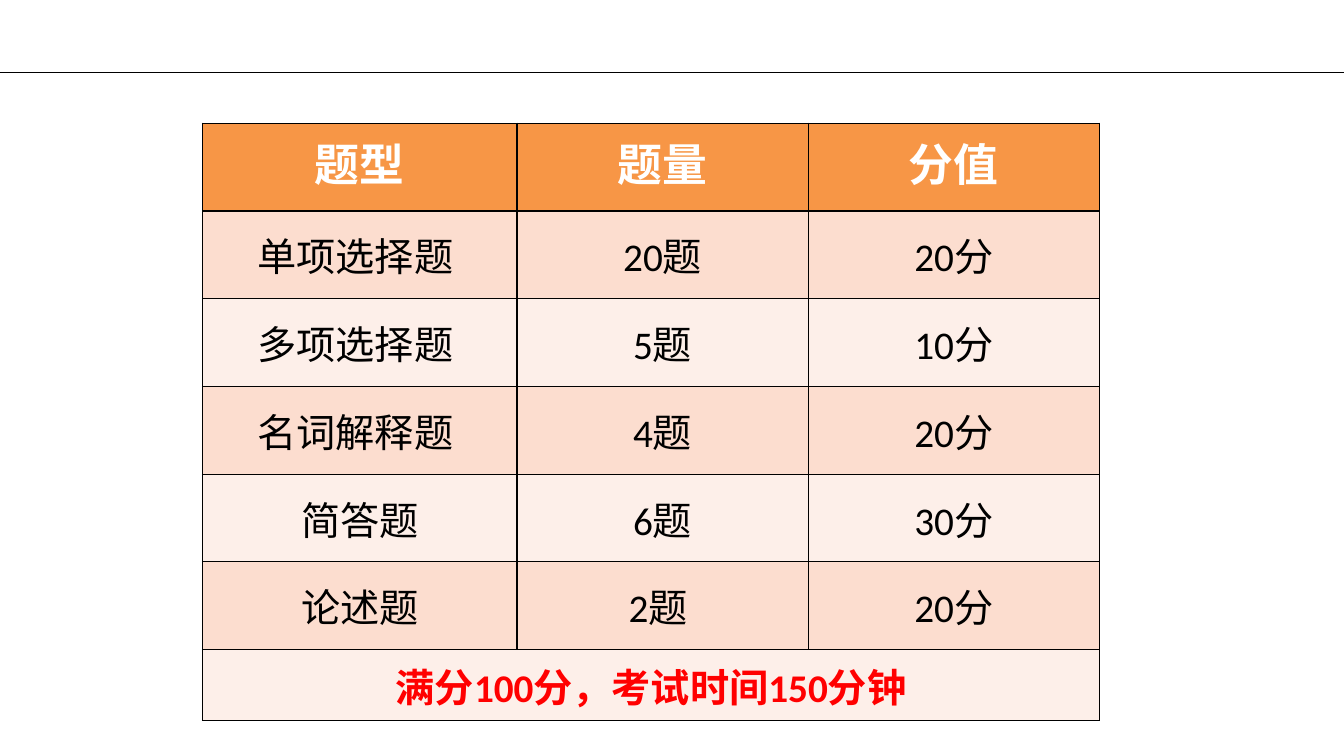
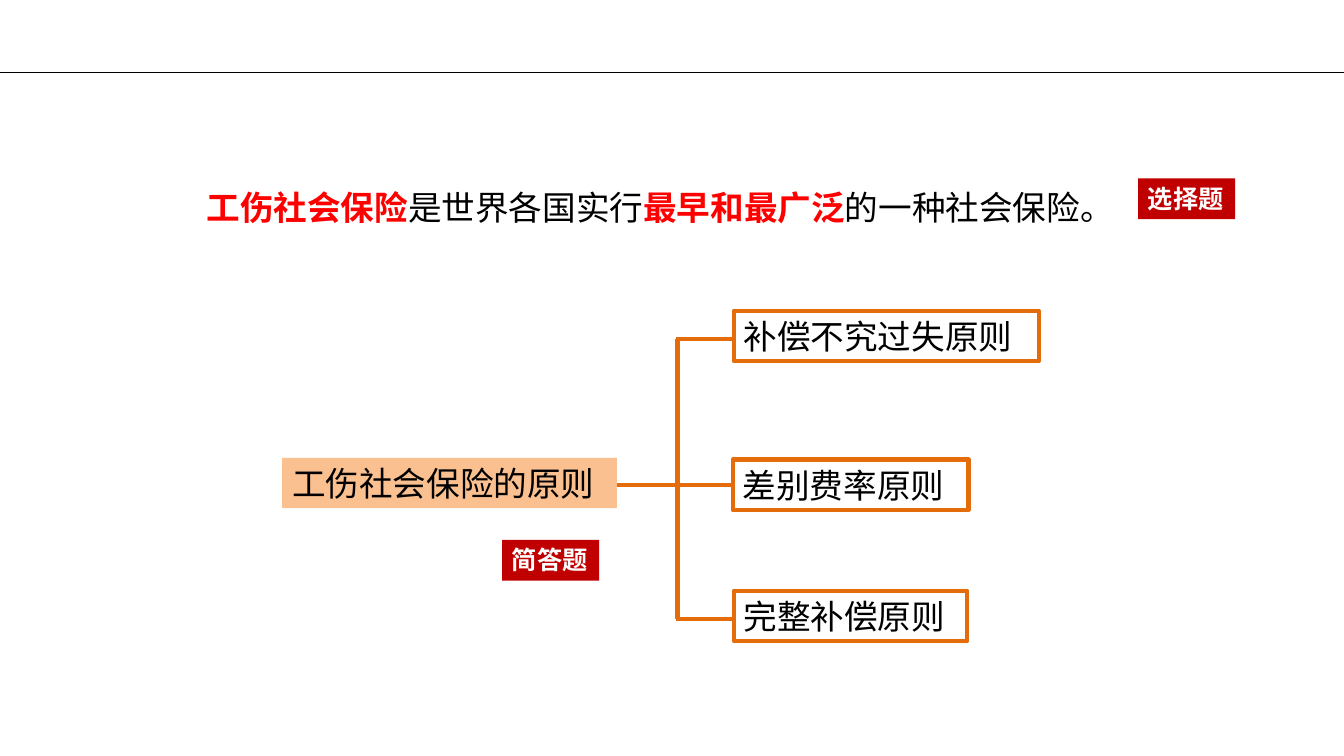
"""Build two slides on an exam outline and work injury insurance."""
from lxml.etree import SubElement as Sub
from pptx import Presentation
from pptx.dml.color import RGBColor as Rgb
from pptx.enum.shapes import MSO_CONNECTOR as Conn, MSO_SHAPE as Shape
from pptx.enum.text import MSO_ANCHOR as Anchor, PP_ALIGN as Align
from pptx.oxml.ns import qn
from pptx.util import Pt

FONT = "Calibri"
HUES = {
    "black": "000000", "white": "FFFFFF", "red": "FF0000", "badge": "C00000",
    "head": "F79646", "dark": "FCDDCF", "light": "FDEFE9",
    "root": "FAC090", "branch": "E46C0A",
}
ROWS = [
    ("题型", "题量", "分值"),
    ("单项选择题 ", "20题", "20分"),
    ("多项选择题 ", "5题", "10分"),
    ("名词解释题 ", "4题", "20分"),
    ("简答题", "6题", "30分"),
    ("论述题", "2题 ", "20分"),
    ("满分100分，考试时间150分钟", "", ""),
]
WIDTHS = (224.6, 208, 208)
HIGH, LAST = 62.7, 50.6
CLAIM = [
    ("工伤社会保险", True), ("是世界各国实行", False),
    ("最早和最广泛", True), ("的一种社会保险。", False),
]
TRUNK = 484
LEAVES = [
    ("补偿不究过失原则", 524, 222, 218, 242),
    ("差别费率原则", 523.4, 328.3, 168.5, 346.3),
    ("完整补偿原则", 524, 422, 167, 442),
]


def hue(name):
    return Rgb.from_string(HUES[name])


def style(runs, size, color, bold=False):
    for run in runs:
        font = run.font
        font.name, font.size, font.bold = FONT, Pt(size), bold
        font.color.rgb = hue(color)


def line(slide, x1, y1, x2, y2, color, width):
    link = slide.shapes.add_connector(
        Conn.STRAIGHT, Pt(x1), Pt(y1), Pt(x2), Pt(y2))
    link.line.color.rgb = hue(color)
    link.line.width = Pt(width)
    Sub(link._element.spPr, qn("a:effectLst"))


def page(deck):
    slide = deck.slides.add_slide(deck.slide_layouts[6])
    line(slide, 0, 52, 960, 52, "black", 1)
    return slide


def box(slide, text, x, y, w, h, fill=None, edge=None,
        size=24, color="black", bold=False, wrap=True):
    rect = slide.shapes.add_shape(Shape.RECTANGLE, Pt(x), Pt(y), Pt(w), Pt(h))
    rect.shadow.inherit = False
    if fill:
        rect.fill.solid()
        rect.fill.fore_color.rgb = hue(fill)
    else:
        rect.fill.background()
    if edge:
        rect.line.color.rgb = hue(edge)
        rect.line.width = Pt(3)
    else:
        rect.line.fill.background()
    frame = rect.text_frame
    frame.text = text
    frame.word_wrap = wrap
    frame.vertical_anchor = Anchor.TOP
    par = frame.paragraphs[0]
    par.alignment = Align.LEFT
    style(par.runs, size, color, bold)


def badge(slide, text, x, y):
    box(slide, text, x, y, 69.3, 29.1, "badge",
        size=18, color="white", bold=True, wrap=False)


def border(cell):
    props = cell._tc.get_or_add_tcPr()
    for side in ("a:lnL", "a:lnR", "a:lnT", "a:lnB"):
        edge = Sub(props, qn(side), w=str(Pt(1)))
        fill = Sub(edge, qn("a:solidFill"))
        Sub(fill, qn("a:srgbClr"), val=HUES["black"])


def paint(cell, text, fill, size, color, bold, anchor):
    border(cell)
    cell.fill.solid()
    cell.fill.fore_color.rgb = hue(fill)
    cell.margin_left = cell.margin_right = Pt(9.6)
    cell.margin_top = cell.margin_bottom = Pt(4.8)
    cell.vertical_anchor = anchor
    cell.text_frame.text = text
    par = cell.text_frame.paragraphs[0]
    par.alignment = Align.CENTER
    style(par.runs, size, color, bold)


def grid(slide):
    end = len(ROWS) - 1
    table = slide.shapes.add_table(
        len(ROWS), len(WIDTHS), Pt(144.7), Pt(88),
        Pt(sum(WIDTHS)), Pt(HIGH * end + LAST)).table
    table.first_row = table.horz_banding = False
    for col, width in zip(table.columns, WIDTHS):
        col.width = Pt(width)
    for i, row in enumerate(ROWS):
        table.rows[i].height = Pt(LAST if i == end else HIGH)
        if i == 0:
            look = ("head", 32, "white", True, Anchor.TOP)
        else:
            look = ("dark" if i % 2 else "light", 28,
                    "red" if i == end else "black", i == end, Anchor.MIDDLE)
        for j, text in enumerate(row):
            paint(table.cell(i, j), text, *look)
    table.cell(end, 0).merge(table.cell(end, len(WIDTHS) - 1))


def claim(slide):
    frame = slide.shapes.add_textbox(
        Pt(140.4), Pt(115.2), Pt(679.7), Pt(46)).text_frame
    frame.word_wrap = True
    par = frame.paragraphs[0]
    par.line_spacing = 1.5
    for text, key in CLAIM:
        run = par.add_run()
        run.text = text
        style([run], 24, "red" if key else "black", key)


def tree(slide):
    box(slide, "工伤社会保险的原则", 201.6, 327, 239, 36, "root")
    line(slide, 440.6, 346.3, TRUNK, 346.3, "branch", 3)
    line(slide, TRUNK, LEAVES[0][-1], TRUNK, LEAVES[-1][-1], "branch", 3)
    for text, x, top, width, mid in LEAVES:
        line(slide, TRUNK - 1, mid, x, mid, "branch", 3)
        box(slide, text, x, top, width, 36, edge="branch")


def main():
    deck = Presentation()
    deck.slide_width, deck.slide_height = Pt(960), Pt(540)
    grid(page(deck))
    slide = page(deck)
    claim(slide)
    tree(slide)
    badge(slide, "选择题", 812.9, 127.4)
    badge(slide, "简答题", 358.6, 385.6)
    deck.save("out.pptx")


if __name__ == "__main__":
    main()
